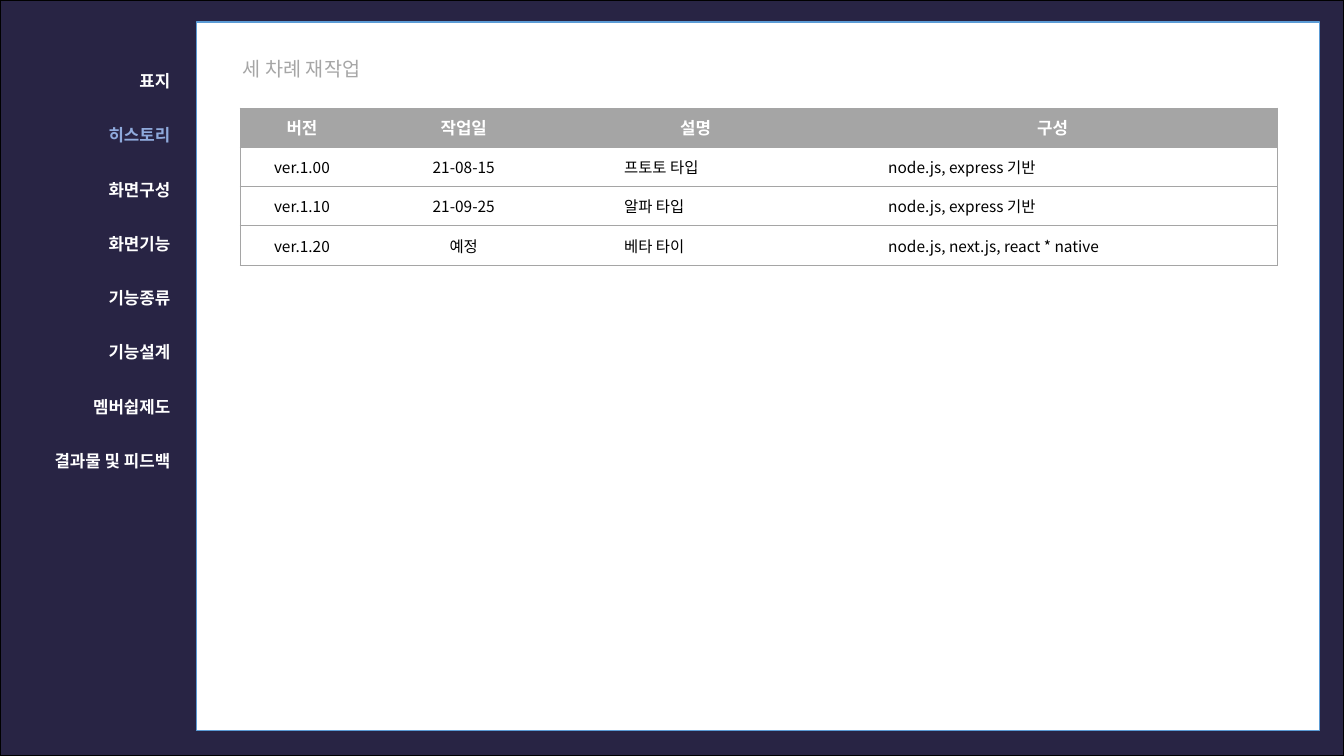
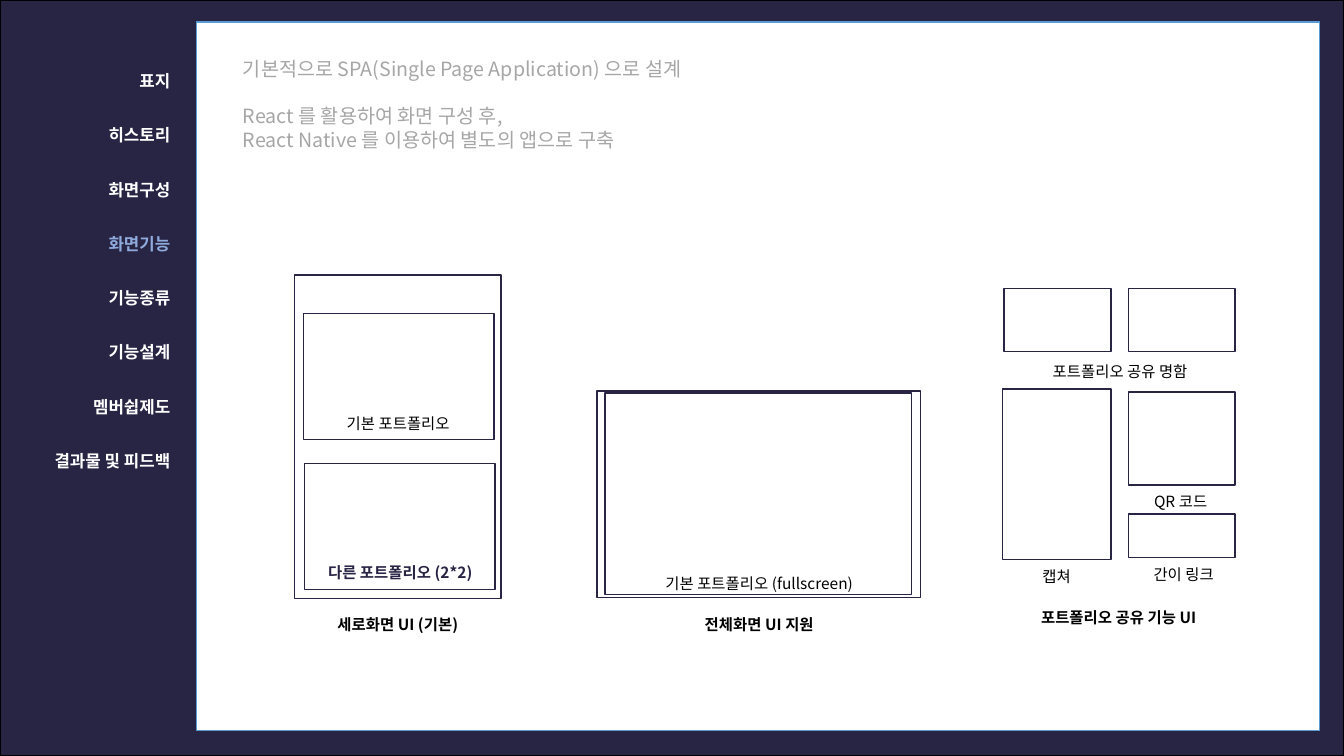
"""Build two portfolio project slides that share a side menu and a white panel."""
from dataclasses import dataclass

import pptx
import pptx.dml.color
import pptx.enum.shapes
import pptx.enum.text
import pptx.oxml
import pptx.oxml.ns
import pptx.util

PX = 9144
SLIDE_SIZE = (1333, 750)
ALIGN = pptx.enum.text.PP_ALIGN
ANCHOR = pptx.enum.text.MSO_ANCHOR


@dataclass(frozen=True)
class Theme:
    font: str = "Noto Sans CJK KR"
    navy: str = "282444"
    white: str = "FFFFFF"
    black: str = "000000"
    panel_line: str = "5B9BD5"
    active: str = "8FAADC"
    heading: str = "A6A6A6"
    table: str = "A5A5A5"
    heading_size: int = 14
    menu_size: int = 12
    label_size: int = 11
    line_height: float = 1.2
    border_width: float = 0.5


THEME = Theme()

FRAME = [
    ((0, 0, 1333, 750), THEME.navy, THEME.black),
    ((195, 22, 1114, 703), THEME.white, THEME.panel_line),
]
MENU = ["표지", "히스토리", "화면구성", "화면기능", "기능종류", "기능설계", "멤버쉽제도", "결과물 및 피드백"]
MENU_BOX = (16, 45, 163, 646)
HEADING_BOX = (231, 51, 621, 104)

HISTORY_HEADING = ["세 차례 재작업"]
HISTORY_ROWS = [
    ("버전", "작업일", "설명", "구성"),
    ("ver.1.00", "21-08-15", "프토토 타입", "node.js, express 기반"),
    ("ver.1.10", "21-09-25", "알파 타입", "node.js, express 기반"),
    ("ver.1.20", "예정", "베타 타이", "node.js, next.js, react * native"),
]
HISTORY_PLACE = (238, 107)
HISTORY_COLUMNS = (123, 198, 262, 446)
HISTORY_ROW_HEIGHT = 39
CENTERED_COLUMNS = 2
CELL_INDENT = 60

FEATURE_HEADING = [
    "기본적으로 SPA(Single Page Application) 으로 설계",
    "React 를 활용하여 화면 구성 후,",
    "React Native 를 이용하여 별도의 앱으로 구축",
]
FEATURE_BREAK = 1
WIREFRAMES = [
    {
        "boxes": [(996, 286, 106, 63), (1119, 286, 106, 63), (1119, 389, 106, 92),
                  (994, 386, 108, 169), (1119, 510, 106, 43)],
        "labels": [
            ("포트폴리오 공유 명함", (996, 354, 230), THEME.black, False),
            ("캡쳐", (994, 558, 108), THEME.black, False),
            ("QR 코드", (1117, 483, 108), THEME.black, False),
            ("간이 링크", (1120, 556, 108), THEME.black, False),
            ("포트폴리오 공유 기능 UI", (994, 598, 231), THEME.black, True),
        ],
    },
    {
        "boxes": [(592, 388, 321, 205), (600, 390, 304, 200)],
        "labels": [
            ("기본 포트폴리오 (fullscreen)", (632, 565, 242), THEME.black, False),
            ("전체화면 UI 지원", (632, 605, 242), THEME.black, True),
        ],
    },
    {
        "boxes": [(292, 273, 205, 321), (301, 311, 189, 125), (302, 460, 189, 125)],
        "labels": [
            ("다른 포트폴리오 (2*2)", (307, 554, 180), THEME.navy, True),
            ("기본 포트폴리오", (305, 406, 180), THEME.black, False),
            ("세로화면 UI (기본)", (292, 605, 205), THEME.black, True),
        ],
    },
]
LABEL_HEIGHT = 35


def rgb(color):
    return pptx.dml.color.RGBColor.from_string(color)


def emu(lengths):
    return [length * PX for length in lengths]


def style(paragraph, size, color, bold=False, align=ALIGN.LEFT):
    paragraph.alignment = align
    font = paragraph.font
    font.name, font.size, font.bold = THEME.font, pptx.util.Pt(size), bold
    font.color.rgb = rgb(color)
    properties = paragraph._p.pPr.find(pptx.oxml.ns.qn("a:defRPr"))
    properties.append(pptx.oxml.parse_xml(
        f'<a:ea {pptx.oxml.ns.nsdecls("a")} typeface="{THEME.font}"/>'))


def set_lines(paragraph, points, before=0):
    paragraph.line_spacing = pptx.util.Pt(points)
    paragraph.space_before = pptx.util.Pt(before)


def add_box(shapes, box, fill, line):
    shape = shapes.add_shape(pptx.enum.shapes.MSO_SHAPE.RECTANGLE, *emu(box))
    shape.shadow.inherit = False
    shape.fill.solid()
    shape.fill.fore_color.rgb = rgb(fill)
    shape.line.color.rgb = rgb(line)
    shape.line.width = pptx.util.Pt(1)
    return shape


def add_label(shapes, text, place, color, bold):
    label = shapes.add_textbox(*emu((*place, LABEL_HEIGHT)))
    label.text_frame.word_wrap = True
    label.text_frame.text = text
    paragraph = label.text_frame.paragraphs[0]
    style(paragraph, THEME.label_size, color, bold, ALIGN.CENTER)
    set_lines(paragraph, THEME.label_size * THEME.line_height)


def move_frame_to_layout(slide, layout):
    for number, (box, fill, line) in enumerate(FRAME):
        shape = add_box(slide.shapes, box, fill, line)
        shape.element.nvSpPr.cNvPr.set("id", str(100 + number))
        layout.shapes.element.insert(2 + number, shape.element)


def fill_placeholder(placeholder, box, lines):
    placeholder.left, placeholder.top, placeholder.width, placeholder.height = emu(box)
    frame = placeholder.text_frame
    frame.text = "\n".join(lines)
    frame.word_wrap = True
    frame.auto_size = pptx.enum.text.MSO_AUTO_SIZE.NONE
    frame.vertical_anchor = ANCHOR.TOP
    return frame.paragraphs


def add_page(presentation, layout, heading, active, break_before=None):
    slide = presentation.slides.add_slide(layout)
    title, menu = slide.placeholders
    for index, paragraph in enumerate(fill_placeholder(title, HEADING_BOX, heading)):
        style(paragraph, THEME.heading_size, THEME.heading)
        set_lines(paragraph, 17, 17 if index == break_before else 0)
    for index, paragraph in enumerate(fill_placeholder(menu, MENU_BOX, MENU)):
        color = THEME.active if MENU[index] == active else THEME.white
        style(paragraph, THEME.menu_size, color, True, ALIGN.RIGHT)
        set_lines(paragraph, 2 * THEME.menu_size * THEME.line_height, 10 if index else 0)
        properties = paragraph._p.pPr
        properties.set("marL", "0")
        properties.set("indent", "0")
        bullet = pptx.oxml.parse_xml(f'<a:buNone {pptx.oxml.ns.nsdecls("a")}/>')
        properties.find(pptx.oxml.ns.qn("a:defRPr")).addprevious(bullet)
    return slide


def set_borders(cell, visible):
    properties = cell._tc.get_or_add_tcPr()
    width = pptx.util.Pt(THEME.border_width)
    for index, side in enumerate("LRTB"):
        paint = (f'<a:solidFill><a:srgbClr val="{THEME.table}"/></a:solidFill>'
                 if side in visible else "<a:noFill/>")
        properties.insert(index, pptx.oxml.parse_xml(
            f'<a:ln{side} {pptx.oxml.ns.nsdecls("a")} w="{width}">{paint}</a:ln{side}>'))


def add_history_table(slide):
    row_count, column_count = len(HISTORY_ROWS), len(HISTORY_COLUMNS)
    size = (sum(HISTORY_COLUMNS), HISTORY_ROW_HEIGHT * row_count)
    table = slide.shapes.add_table(
        row_count, column_count, *emu(HISTORY_PLACE + size)).table
    table.horz_banding = False
    for column, width in zip(table.columns, emu(HISTORY_COLUMNS)):
        column.width = width
    for row_index, row in enumerate(HISTORY_ROWS):
        header = row_index == 0
        for column_index, text in enumerate(row):
            cell = table.cell(row_index, column_index)
            cell.text = text
            cell.vertical_anchor = ANCHOR.MIDDLE
            cell.fill.solid()
            cell.fill.fore_color.rgb = rgb(THEME.table if header else THEME.white)
            centered = header or column_index < CENTERED_COLUMNS
            if not centered:
                cell.margin_left = CELL_INDENT * PX
            style(cell.text_frame.paragraphs[0],
                  THEME.menu_size if header else THEME.label_size,
                  THEME.white if header else THEME.black,
                  header, ALIGN.CENTER if centered else ALIGN.LEFT)
            left = "L" if column_index == 0 else ""
            right = "R" if column_index == column_count - 1 else ""
            set_borders(cell, "TB" + left + right)


def add_wireframes(slide):
    for wireframe in WIREFRAMES:
        group = slide.shapes.add_group_shape()
        for box in wireframe["boxes"]:
            add_box(group.shapes, box, THEME.white, THEME.navy)
        for label in wireframe["labels"]:
            add_label(group.shapes, *label)


def main():
    presentation = pptx.Presentation()
    presentation.slide_width, presentation.slide_height = emu(SLIDE_SIZE)
    layout = presentation.slide_layouts[1]
    history = add_page(presentation, layout, HISTORY_HEADING, "히스토리")
    move_frame_to_layout(history, layout)
    add_history_table(history)
    features = add_page(presentation, layout, FEATURE_HEADING, "화면기능", FEATURE_BREAK)
    add_wireframes(features)
    presentation.save("out.pptx")


if __name__ == "__main__":
    main()
